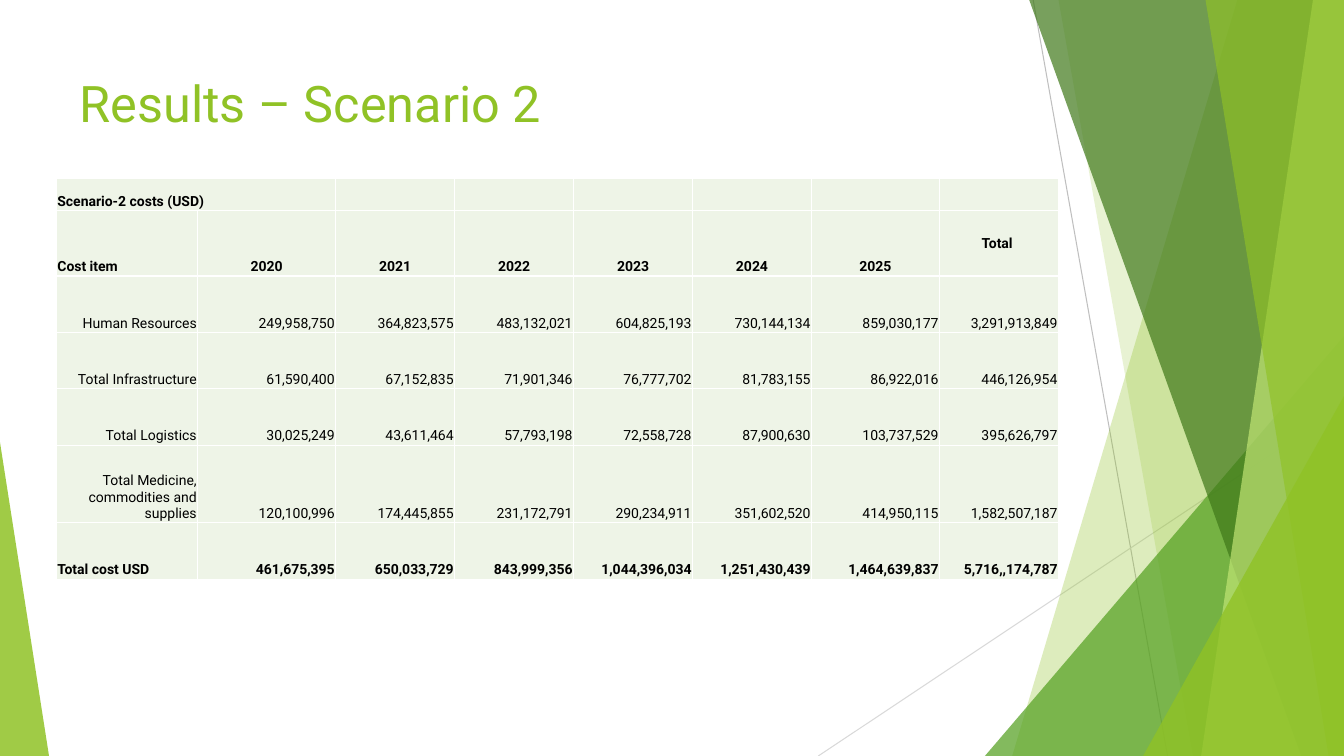
import dataclasses

import pptx
import pptx.dml.color
import pptx.enum.shapes
import pptx.enum.text
import pptx.oxml
import pptx.oxml.ns
import pptx.util

Pt = pptx.util.Pt
RGB = pptx.dml.color.RGBColor.from_string
ALIGN = pptx.enum.text.PP_ALIGN
ANCHOR = pptx.enum.text.MSO_ANCHOR
qn = pptx.oxml.ns.qn

WIDTH, HEIGHT = 960, 540
TOP = -0.6  # facets start just above the slide edge


@dataclasses.dataclass(frozen=True)
class Theme:
    font: str = "Roboto"
    title_size: float = 36
    table_size: float = 10
    lime: str = "90C226"
    pale_lime: str = "C0E474"
    green: str = "54A021"
    dark_green: str = "3F7819"
    text: str = "000000"
    cell: str = "EEF4E7"
    border: str = "FFFFFF"
    steep_line: str = "BFBFBF"
    shallow_line: str = "D9D9D9"


THEME = Theme()


@dataclasses.dataclass(frozen=True)
class Facet:
    points: tuple[tuple[float, float], ...]
    color: str
    opacity: int


@dataclasses.dataclass(frozen=True)
class Ray:
    start: tuple[float, float]
    end: tuple[float, float]
    color: str


@dataclasses.dataclass(frozen=True)
class CostRow:
    height: float
    cells: tuple[str, ...]
    bold: bool = False
    label_align: ALIGN = ALIGN.LEFT
    value_align: ALIGN = ALIGN.RIGHT


def right_band(top_x: float, bottom_x: float, color: str, opacity: int) -> Facet:
    """Full-height band from a slanted left side to the right slide edge."""
    points = ((top_x, TOP), (WIDTH, TOP), (WIDTH, HEIGHT), (bottom_x, HEIGHT))
    return Facet(points, color, opacity)


def right_corner(left: float, top: float, color: str, opacity: int) -> Facet:
    """Triangle in the bottom right corner."""
    return Facet(((left, HEIGHT), (WIDTH, top), (WIDTH, HEIGHT)), color, opacity)


RAYS = (
    Ray((738, 0), (834, HEIGHT), THEME.steep_line),
    Ray((WIDTH, 290), (584.5, HEIGHT), THEME.shallow_line),
)
FACETS = (
    right_band(884, 723, THEME.lime, 30),
    right_band(756, 852, THEME.lime, 20),
    right_corner(703.5, 240, THEME.green, 72),
    right_band(735, 929.5, THEME.dark_green, 70),
    right_band(938, 858, THEME.pale_lime, 70),
    right_band(861, 949, THEME.lime, 65),
    right_corner(816.5, 283, THEME.lime, 80),
    Facet(((0, HEIGHT), (0, 316), (35, HEIGHT)), THEME.lime, 85),
)


def item_row(height: float, *cells: str) -> CostRow:
    return CostRow(height, cells, label_align=ALIGN.RIGHT)


COLUMNS = (100.8, 98.6, 85, 85, 85, 85, 91.4, 85)
ROWS = (
    CostRow(22.3, ("Scenario-2 costs (USD)",), bold=True),
    CostRow(46.8, ("Cost item", "2020", "2021", "2022", "2023", "2024", "2025", "Total "),
            bold=True, value_align=ALIGN.CENTER),
    item_row(40.3, "Human Resources", "249,958,750", "364,823,575", "483,132,021",
             "604,825,193", "730,144,134", "859,030,177", "3,291,913,849"),
    item_row(40.3, "Total Infrastructure", "61,590,400", "67,152,835", "71,901,346",
             "76,777,702", "81,783,155", "86,922,016", "446,126,954"),
    item_row(40.3, "Total Logistics", "30,025,249", "43,611,464", "57,793,198",
             "72,558,728", "87,900,630", "103,737,529", "395,626,797"),
    item_row(55.4, "Total Medicine, commodities and supplies", "120,100,996",
             "174,445,855", "231,172,791", "290,234,911", "351,602,520",
             "414,950,115", "1,582,507,187"),
    CostRow(40.3, ("Total cost USD", "461,675,395", "650,033,729", "843,999,356",
                   "1,044,396,034", "1,251,430,439", "1,464,639,837",
                   "5,716,,174,787"), bold=True),
)


def write(tf, text: str, *, size: float, color: str, bold: bool = False,
          align: ALIGN = ALIGN.LEFT) -> None:
    p = tf.paragraphs[0]
    p.alignment = align
    r = p.add_run()
    r.text = text
    r.font.name = THEME.font
    r.font.size = Pt(size)
    r.font.bold = bold
    r.font.color.rgb = RGB(color)


def draw_ray(shapes, ray: Ray) -> None:
    line = shapes.add_connector(pptx.enum.shapes.MSO_CONNECTOR.STRAIGHT,
                                *map(Pt, ray.start + ray.end))
    line.line.color.rgb = RGB(ray.color)
    line.line.width = Pt(0.75)
    pptx.oxml.ns  # namespace helpers
    line.element.spPr.append(pptx.oxml.parse_xml(
        f'<a:effectLst {pptx.oxml.ns.nsdecls("a")}/>'))


def draw_facet(shapes, facet: Facet) -> None:
    start, *rest = [(Pt(x), Pt(y)) for x, y in facet.points]
    builder = shapes.build_freeform(*start)
    builder.add_line_segments(rest, close=True)
    sp = builder.convert_to_shape()
    sp.shadow.inherit = False
    sp.line.fill.background()
    sp.fill.solid()
    sp.fill.fore_color.rgb = RGB(facet.color)
    color = sp.element.spPr.find(f'{qn("a:solidFill")}/{qn("a:srgbClr")}')
    color.append(pptx.oxml.parse_xml(
        f'<a:alpha {pptx.oxml.ns.nsdecls("a")} val="{facet.opacity * 1000}"/>'))


def style_cell(cell) -> None:
    """Set margins, white borders and fill; borders must precede the fill."""
    cell.margin_left = cell.margin_right = Pt(0.7)
    cell.margin_top = cell.margin_bottom = Pt(0.7)
    cell.vertical_anchor = ANCHOR.BOTTOM
    for side in "LRTB":
        cell._tc.tcPr.append(pptx.oxml.parse_xml(
            f'<a:ln{side} {pptx.oxml.ns.nsdecls("a")} w="{Pt(1)}"><a:solidFill>'
            f'<a:srgbClr val="{THEME.border}"/></a:solidFill></a:ln{side}>'))
    cell.fill.solid()
    cell.fill.fore_color.rgb = RGB(THEME.cell)


def draw_costs(shapes) -> None:
    height = sum(row.height for row in ROWS)
    frame = shapes.add_table(len(ROWS), len(COLUMNS), Pt(40.3), Pt(127.4),
                             Pt(sum(COLUMNS)), Pt(height))
    table = frame.table
    table.first_row = table.horz_banding = False
    for column, width in zip(table.columns, COLUMNS):
        column.width = Pt(width)
    for i, row in enumerate(ROWS):
        table.rows[i].height = Pt(row.height)
        for cell in table.rows[i].cells:
            style_cell(cell)
        for j, text in enumerate(row.cells):
            write(table.cell(i, j).text_frame, text, size=THEME.table_size,
                  color=THEME.text, bold=row.bold,
                  align=row.value_align if j else row.label_align)
    table.cell(0, 0).merge(table.cell(0, 1))
    table.cell(1, len(COLUMNS) - 1).vertical_anchor = ANCHOR.MIDDLE


def draw_title(shapes) -> None:
    tf = shapes.add_textbox(Pt(53.3), Pt(48.2), Pt(676.8), Pt(152)).text_frame
    tf.word_wrap = True
    tf.margin_left = tf.margin_right = tf.margin_top = tf.margin_bottom = Pt(3.6)
    write(tf, "Results – Scenario 2", size=THEME.title_size, color=THEME.lime)


def main() -> None:
    prs = pptx.Presentation()
    prs.slide_width, prs.slide_height = Pt(WIDTH), Pt(HEIGHT)
    s = prs.slides.add_slide(prs.slide_layouts[6])
    for ray in RAYS:
        draw_ray(s.shapes, ray)
    for facet in FACETS:
        draw_facet(s.shapes, facet)
    draw_title(s.shapes)
    draw_costs(s.shapes)
    prs.save("out.pptx")


if __name__ == "__main__":
    main()
